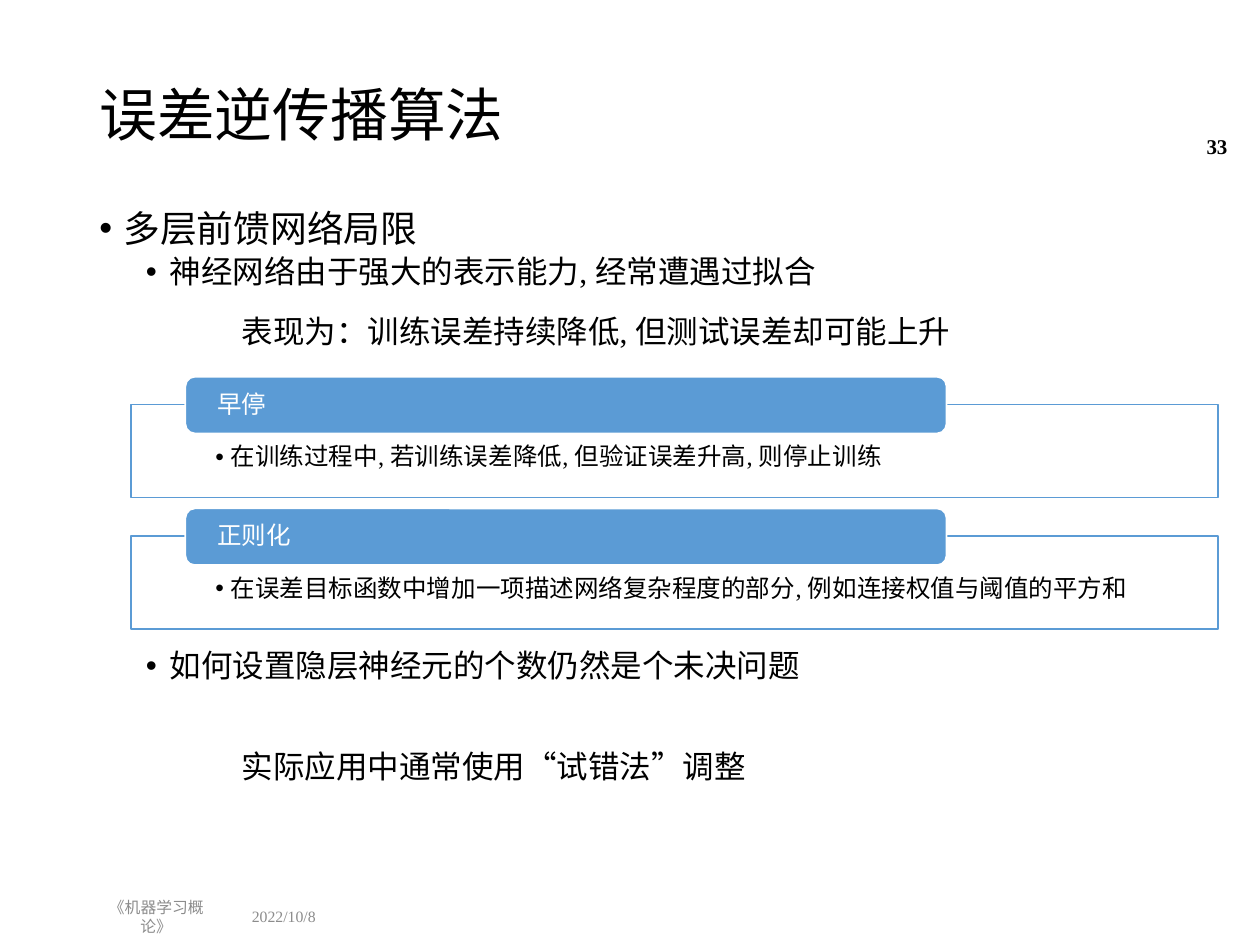
import pptx
import pptx.dml.color
import pptx.enum.shapes
import pptx.enum.text
import pptx.oxml
import pptx.util
from lxml import etree

FONT = "Times New Roman"
BLACK, WHITE, BLUE, GRAY = "000000", "FFFFFF", "5B9BD5", "8C8C8C"
ALIGN = pptx.enum.text.PP_ALIGN
ANCHOR = pptx.enum.text.MSO_ANCHOR
SHAPE = pptx.enum.shapes.MSO_SHAPE
DRAWING = "http://schemas.openxmlformats.org/drawingml/2006/main"

WIDTH, HEIGHT = 10, 7.5
MARGIN = 0.69
CONTENT = WIDTH - 2 * MARGIN

TITLE = "误差逆传播算法"
# text, size, left indent, space before; the last gap leaves room for the cards
BULLETS = [
    ("多层前馈网络局限", 21, 0.19, 0),
    ("神经网络由于强大的表示能力, 经常遭遇过拟合", 18, 0.56, 3.8),
    ("如何设置隐层神经元的个数仍然是个未决问题", 18, 0.56, 205.4),
]
NOTES = [
    ("表现为：训练误差持续降低, 但测试误差却可能上升", 2.43),
    ("实际应用中通常使用“试错法”调整", 5.88),
]
REMEDIES = [
    ("早停", "在训练过程中, 若训练误差降低, 但验证误差升高, 则停止训练"),
    ("正则化", "在误差目标函数中增加一项描述网络复杂程度的部分, 例如连接权值与阈值的平方和"),
]
# text, place, format
FOOTERS = [
    ("2022/10/8", (1.9, 7.13, 0.91, 0.29), dict(size=9, color=GRAY)),
    ("《机器学习概论》", (MARGIN, 7.13, 1.1, 0.29),
     dict(size=9, color=GRAY, align=ALIGN.CENTER)),
    ("33", (9.15, 0.96, 0.69, 0.4), dict(size=12, bold=True, align=ALIGN.RIGHT)),
]

CARD_LEFT, CARD_TOP, CARD_WIDTH, CARD_HEIGHT = 1.04, 3.21, 8.63, 0.74
CARD_PITCH = 1.045
TAB_WIDTH, TAB_HEIGHT = 0.7 * CARD_WIDTH, 0.45
TAB_LEFT, TAB_RISE = CARD_LEFT + 0.05 * CARD_WIDTH, 0.22


def inches(*values):
    return [pptx.util.Inches(value) for value in values]


def rgb(value):
    return pptx.dml.color.RGBColor.from_string(value)


def write(para, text, size=18, color=BLACK, bold=False, align=ALIGN.LEFT,
          spacing=1.0, before=0, indent=0, hanging=0):
    """Fill a paragraph; a hanging indent also gives it a bullet."""
    props = para._p.get_or_add_pPr()
    props.set("marL", str(pptx.util.Inches(indent)))
    props.set("indent", str(-pptx.util.Inches(hanging)))
    para.alignment = align
    para.line_spacing = spacing
    para.space_before = pptx.util.Pt(before)
    if hanging:
        bullet_font = etree.SubElement(props, f"{{{DRAWING}}}buFont")
        bullet_font.set("typeface", "Arial")
        etree.SubElement(props, f"{{{DRAWING}}}buChar").set("char", "•")
    span = para.add_run()
    span.text = text
    span.font.name = FONT
    span.font.size = pptx.util.Pt(size)
    span.font.bold = bold
    span.font.color.rgb = rgb(color)


def set_frame(shape, anchor, insets=(0.1, 0.05, 0.1, 0.05)):
    frame = shape.text_frame
    frame.word_wrap = True
    frame.vertical_anchor = anchor
    (frame.margin_left, frame.margin_top,
     frame.margin_right, frame.margin_bottom) = inches(*insets)
    return frame


def add_text(page, text, place, anchor=ANCHOR.MIDDLE, **style):
    box = page.shapes.add_textbox(*inches(*place))
    write(set_frame(box, anchor).paragraphs[0], text, **style)


def add_panel(page, kind, place, fill, line, text, anchor, insets, **style):
    panel = page.shapes.add_shape(kind, *inches(*place))
    panel.shadow.inherit = False
    panel.fill.solid()
    panel.fill.fore_color.rgb = rgb(fill)
    panel.line.color.rgb = rgb(line)
    panel.line.width = pptx.util.Pt(1)
    write(set_frame(panel, anchor, insets).paragraphs[0], text,
          size=14, spacing=0.9, **style)


def add_bullets(page):
    box = page.shapes.add_textbox(*inches(MARGIN, 1.62, CONTENT, 5.39))
    frame = set_frame(box, ANCHOR.TOP)
    for index, (text, size, indent, before) in enumerate(BULLETS):
        para = frame.add_paragraph() if index else frame.paragraphs[0]
        write(para, text, size=size, spacing=0.9, before=before,
              indent=indent, hanging=0.19)


def add_remedies(page):
    for row, (name, detail) in enumerate(REMEDIES):
        top = CARD_TOP + row * CARD_PITCH
        add_panel(page, SHAPE.RECTANGLE, (CARD_LEFT, top, CARD_WIDTH, CARD_HEIGHT),
                  WHITE, BLUE, detail, ANCHOR.TOP, (0.67, 0.32, 0.67, 0.11),
                  indent=0.12, hanging=0.12)
        add_panel(page, SHAPE.ROUNDED_RECTANGLE,
                  (TAB_LEFT, top - TAB_RISE, TAB_WIDTH, TAB_HEIGHT),
                  BLUE, WHITE, name, ANCHOR.MIDDLE, (0.23, 0, 0.23, 0), color=WHITE)


def main():
    deck = pptx.Presentation()
    deck.slide_width, deck.slide_height = inches(WIDTH, HEIGHT)
    page = deck.slides.add_slide(deck.slide_layouts[6])
    add_text(page, TITLE, (MARGIN, 0.4, CONTENT, 1.07), size=33, spacing=0.9)
    add_bullets(page)
    for text, place, style in FOOTERS:
        add_text(page, text, place, **style)
    for text, top in NOTES:
        add_text(page, text, (1.32, top, 6.6, 0.4), anchor=ANCHOR.TOP, indent=0.5)
    add_remedies(page)
    deck.save("out.pptx")


if __name__ == "__main__":
    main()
